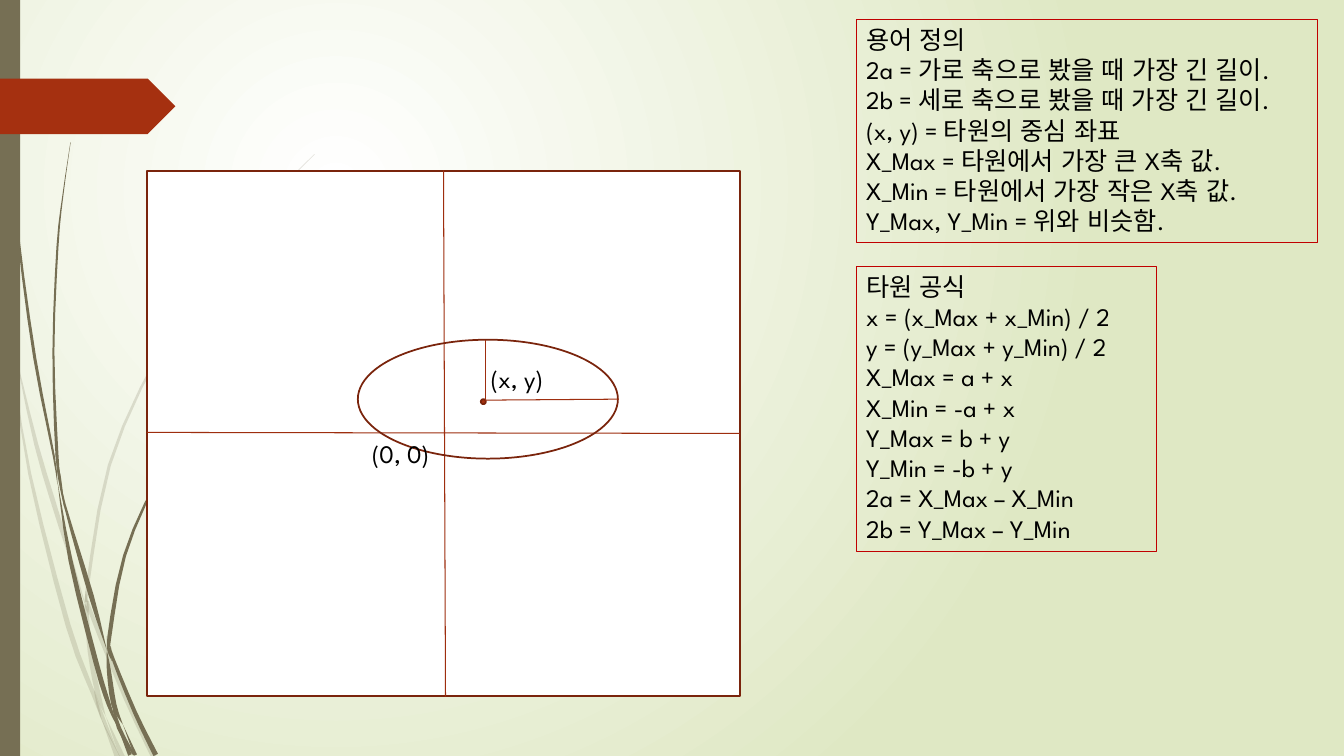
import math
from dataclasses import dataclass
from typing import Optional

from lxml import etree
from pptx import Presentation
from pptx import util as u
from pptx.dml.color import RGBColor
from pptx.enum import lang, shapes, text
from pptx.oxml import ns

# The slide is a grid of square cells; every length below counts cells.
COLS, ROWS = 4000 / 3, 750
CELL = u.Inches(0.01)

FONT = "League Spartan"
WHITE = RGBColor(0xFF, 0xFF, 0xFF)
BLACK = RGBColor(0x00, 0x00, 0x00)
LIGHT_GREEN = RGBColor(0xDF, 0xE8, 0xC4)
OLIVE = RGBColor(0x76, 0x6F, 0x54)
RUST = RGBColor(0xA5, 0x30, 0x10)
RUST_LINE = RGBColor(0x9E, 0x2E, 0x0F)
DARK_RUST = RGBColor(0x7A, 0x24, 0x0C)
RED = RGBColor(0xC0, 0x00, 0x00)


@dataclass(frozen=True)
class Blade:
    """A piece of grass: (x, y, thickness) along its middle, and opacity in %."""
    spine: tuple
    opacity: int


@dataclass(frozen=True)
class Figure:
    """A preset shape with its box, fill and outline."""
    kind: shapes.MSO_SHAPE
    box: tuple
    fill: Optional[RGBColor] = None
    line: Optional[RGBColor] = None


@dataclass(frozen=True)
class Label:
    """Lines of text in a box, with an optional border."""
    box: tuple
    lines: tuple
    border: Optional[RGBColor] = None


PALE_SPINES = (
    ((0, 290, 4), (8, 333, 2), (11, 350, 0)),
    ((14, 345, 0), (36, 441, 4), (60, 521, 4.5), (84, 598, 0.5)),
    ((88, 596, 0.5), (91, 610, 4), (125, 693, 4.5), (152.5, 751, 5)),
    ((105, 711, 0), (121.5, 751, 5)),
    ((11, 350, 0), (29.5, 470, 3), (67.5, 620, 5), (92.5, 688, 4), (101, 714, 0)),
    ((84, 599, 0), (86, 608, 4), (89, 646, 4), (97, 687, 5), (105, 711, 0)),
    ((312, 153, 0.5), (268, 197.5, 1), (228.5, 244.5, 1), (159, 348.5, 2),
     (108.5, 461.5, 3), (86.5, 584, 3), (87.5, 596, 0.5)),
    ((101, 714, 0), (116.5, 751, 5)),
    ((85, 586, 0), (86, 600, 4), (88, 610, 0)),
    ((93, 683, 0), (101, 710, 4), (119, 751, 0)),
)
DARK_SPINES = (
    ((3.5, 0, 1), (5, 48, 1), (7.5, 110, 1), (18, 233, 2), (34.5, 355, 3),
     (53.5, 453, 2), (57, 481, 0)),
    ((60, 472, 0), (64, 500, 2), (90.5, 591, 5), (106, 645, 0)),
    ((110, 641, 0), (112, 653, 3), (134, 707, 4), (154.5, 749, 5)),
    ((57, 477, 0), (70, 556, 4), (95.5, 658, 5), (108, 699, 4), (117, 722, 0)),
    ((70, 141, 0.3), (62.5, 193, 1), (57, 245, 2), (53, 349, 2),
     (56.5, 451, 3), (60, 472, 0)),
    ((122, 719, 0), (134.5, 749, 3)),
    ((55, 449, 0), (59, 474, 3), (64, 505, 0)),
    ((260.5, 344, 0.3), (231, 373.5, 1), (204.5, 405.5, 1), (157, 475, 2),
     (123.5, 551.5, 3), (108.5, 632, 4), (110, 641, 0)),
    ((117, 722, 0), (129, 749, 4)),
    ((106, 645, 0), (108, 665, 4), (113, 699, 5), (122, 719, 0)),
    ((106, 631, 0), (108, 645, 3), (111, 656, 0)),
    ((110, 691, 0), (118, 722, 4), (133, 749, 2)),
)
BLADES = tuple(Blade(spine, opacity)
               for spines, opacity in ((PALE_SPINES, 20), (DARK_SPINES, 100))
               for spine in spines)

FRAME = (
    Figure(shapes.MSO_SHAPE.RECTANGLE, (0, 0, 20, ROWS), OLIVE),
    Figure(shapes.MSO_SHAPE.PENTAGON, (0, 78, 174, 55), RUST),
    Figure(shapes.MSO_SHAPE.RECTANGLE, (146, 169.5, 588, 521), WHITE, DARK_RUST),
)
AXES = ((440, 169, 442, 691), (734, 430, 146, 429))
ELLIPSE = (
    Figure(shapes.MSO_SHAPE.OVAL, (355, 337, 258, 118), None, DARK_RUST),
    Figure(shapes.MSO_SHAPE.OVAL, (477, 396, 5, 5), RUST, DARK_RUST),
)
RADII = ((481, 397, 614, 396), (482, 397, 482, 337))

LABELS = (
    Label((359, 430, 81, 40), ("(0, 0)",)),
    Label((477, 356, 78, 40), ("(x, y)",)),
    Label((849.5, 19, 458, 222), (
        "용어 정의",
        "2a = 가로 축으로 봤을 때 가장 긴 길이.",
        "2b = 세로 축으로 봤을 때 가장 긴 길이.",
        "(x, y) = 타원의 중심 좌표",
        "X_Max = 타원에서 가장 큰 X축 값.",
        "X_Min = 타원에서 가장 작은 X축 값.",
        "Y_Max, Y_Min = 위와 비슷함."), RED),
    Label((849.5, 264, 298, 283), (
        "타원 공식",
        "x = (x_Max + x_Min) / 2",
        "y = (y_Max + y_Min) / 2",
        "X_Max = a + x",
        "X_Min = -a + x",
        "Y_Max = b + y",
        "Y_Min = -b + y",
        "2a = X_Max – X_Min",
        "2b = Y_Max – Y_Min"), RED),
)


def cells(values: tuple) -> list:
    """Turn counts of cells into lengths."""
    return [u.Emu(round(v * CELL)) for v in values]


def paint_background(s) -> None:
    """Fill the background with a circular gradient, white at upper left."""
    fill = s.background.fill
    fill.gradient()
    for stop, colour in zip(fill.gradient_stops, (WHITE, LIGHT_GREEN)):
        stop.color.rgb = colour
    grad = next(s.element.iter(ns.qn("a:gradFill")))
    grad.remove(grad.find(ns.qn("a:lin")))
    circle = etree.SubElement(grad, ns.qn("a:path"), path="circle")
    etree.SubElement(circle, ns.qn("a:fillToRect"),
                     l="50000", t="50000", r="100000", b="100000")


def smooth(spine: tuple, steps: int = 3) -> list:
    """Run a Catmull-Rom curve through the points of a spine."""
    padded = (spine[0], *spine, spine[-1])
    curve = []
    for a, b, c, d in zip(padded, padded[1:], padded[2:], padded[3:]):
        for t in (i / steps for i in range(steps)):
            curve.append(tuple(
                (2 * q + (r - p) * t + (2 * p - 5 * q + 4 * r - v) * t ** 2
                 + (3 * q - p - 3 * r + v) * t ** 3) / 2
                for p, q, r, v in zip(a, b, c, d)))
    return curve + [spine[-1]]


def draw_blade(s, blade: Blade) -> None:
    """Draw the outline on both sides of a blade's spine."""
    curve = smooth(blade.spine)
    left, right = [], []
    for i, (x, y, thick) in enumerate(curve):
        before, after = curve[max(i - 1, 0)], curve[min(i + 1, len(curve) - 1)]
        dx, dy = after[0] - before[0], after[1] - before[1]
        half = thick / 2 / math.hypot(dx, dy)
        left.append(cells((x - dy * half, y + dx * half)))
        right.append(cells((x + dy * half, y - dx * half)))
    outline = left + right[::-1]
    builder = s.shapes.build_freeform(*outline[0])
    builder.add_line_segments(outline[1:], close=True)
    sp = builder.convert_to_shape()
    format_shape(sp, OLIVE, None)
    colour = next(sp.element.spPr.iter(ns.qn("a:srgbClr")))
    etree.SubElement(colour, ns.qn("a:alpha"), val=str(blade.opacity * 1000))


def format_shape(sp, fill: Optional[RGBColor], line: Optional[RGBColor],
                 width: float = 1.25) -> None:
    """Set fill and outline, and take the shadow away."""
    sp.shadow.inherit = False
    for part, colour in ((sp.fill, fill), (sp.line.fill, line)):
        if colour is None:
            part.background()
        else:
            part.solid()
            part.fore_color.rgb = colour
    if line is not None:
        sp.line.width = u.Pt(width)


def draw_figure(s, figure: Figure) -> None:
    """Draw a preset shape."""
    sp = s.shapes.add_shape(figure.kind, *cells(figure.box))
    format_shape(sp, figure.fill, figure.line)


def draw_line(s, ends: tuple) -> None:
    """Draw a thin straight line."""
    line = s.shapes.add_connector(shapes.MSO_CONNECTOR.STRAIGHT, *cells(ends))
    line.line.color.rgb = RUST_LINE
    line.line.width = u.Pt(0.75)
    etree.SubElement(line.element.spPr, ns.qn("a:effectLst"))


def write(p, words: str, *, size: int = 18, font: str = FONT,
          colour: RGBColor = BLACK) -> None:
    """Add formatted Korean words to a paragraph."""
    r = p.add_run()
    r.text = words
    r.font.size, r.font.name = u.Pt(size), font
    r.font.color.rgb = colour
    r.font.language_id = lang.MSO_LANGUAGE_ID.KOREAN


def draw_label(s, label: Label) -> None:
    """Draw a text box with one paragraph for each line."""
    sp = s.shapes.add_textbox(*cells(label.box))
    format_shape(sp, None, label.border, 0.75)
    tf = sp.text_frame
    tf.word_wrap = False
    tf.auto_size = text.MSO_AUTO_SIZE.SHAPE_TO_FIT_TEXT
    for i, words in enumerate(label.lines):
        write(tf.add_paragraph() if i else tf.paragraphs[0], words)


prs = Presentation()
prs.slide_width, prs.slide_height = cells((COLS, ROWS))
s = prs.slides.add_slide(prs.slide_layouts[6])
paint_background(s)
for draw, items in ((draw_blade, BLADES), (draw_figure, FRAME),
                    (draw_line, AXES), (draw_figure, ELLIPSE),
                    (draw_line, RADII), (draw_label, LABELS)):
    for item in items:
        draw(s, item)
prs.save("out.pptx")
